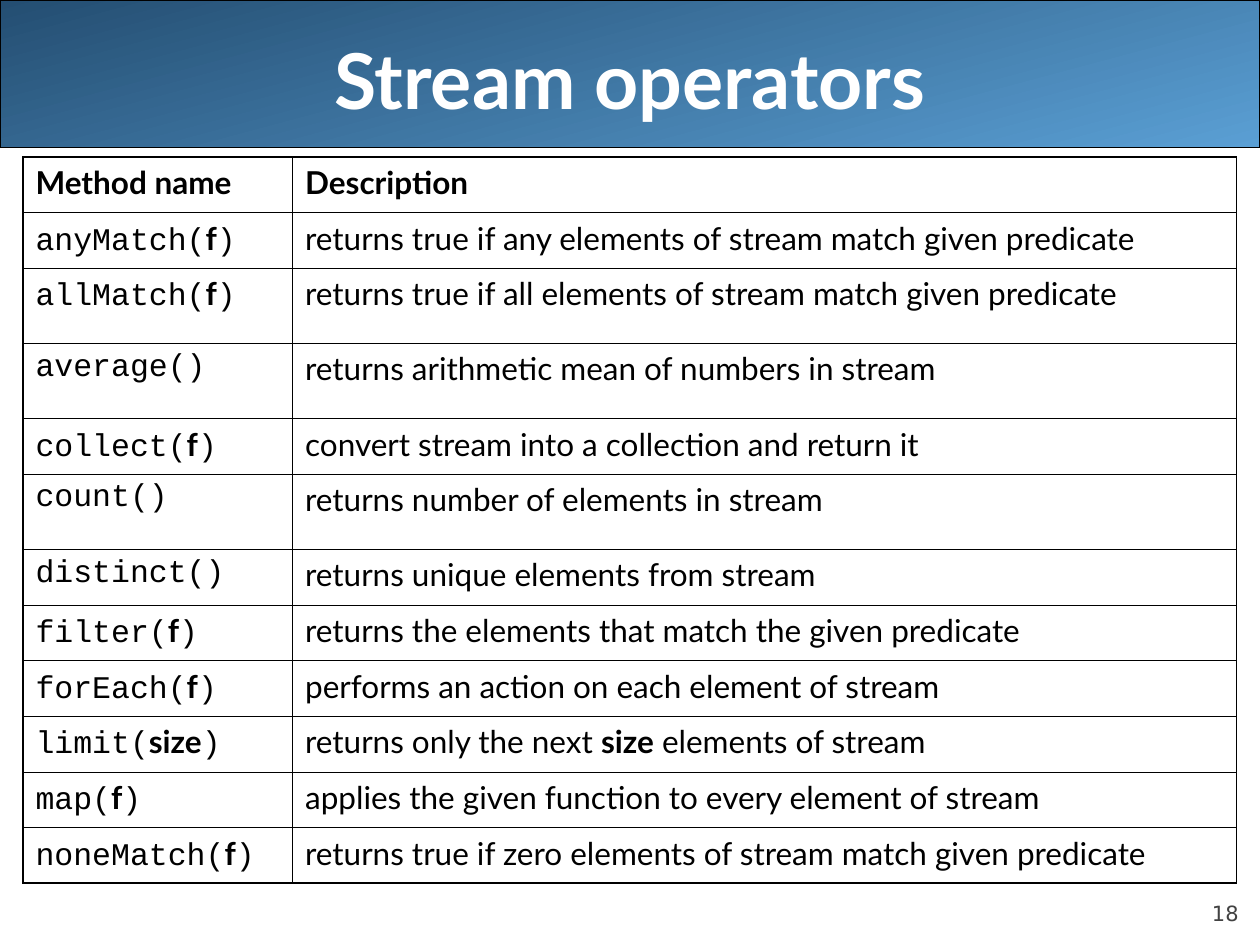
"""Build the slide that lists the stream operators in a table."""
import lxml.etree
import pptx
import pptx.dml.color
import pptx.enum.shapes
import pptx.enum.text
import pptx.oxml.ns
import pptx.util

Pt = pptx.util.Pt
ALIGN = pptx.enum.text.PP_ALIGN
ANCHOR = pptx.enum.text.MSO_ANCHOR
qn = pptx.oxml.ns.qn


def color(value):
    return pptx.dml.color.RGBColor.from_string(value)


def write_text(frame, text, font="Lato", size=18, fill="000000", bold=False,
               align=ALIGN.LEFT, before=4.5):
    paragraph = frame.paragraphs[0]
    paragraph.alignment = align
    paragraph.space_before = Pt(before)
    for index, part in enumerate(text.split("*")):
        emphasized = index % 2 == 1
        run = paragraph.add_run()
        run.text = part
        run.font.name = "Lato" if emphasized else font
        run.font.size = Pt(size)
        run.font.bold = bold or emphasized
        run.font.color.rgb = color(fill)


SHORT, TALL = 31.8, 43
THIN, THICK = 0.45, 1.08
rows = [
    ("Method name", "Description", SHORT),
    ("anyMatch(*f*)", "returns true if any elements of stream match given predicate", SHORT),
    ("allMatch(*f*)", "returns true if all elements of stream match given predicate", TALL),
    ("average()", "returns arithmetic mean of numbers in stream", TALL),
    ("collect(*f*)", "convert stream into a collection and return it", SHORT),
    ("count()", "returns number of elements in stream", TALL),
    ("distinct()", "returns unique elements from stream", SHORT),
    ("filter(*f*)", "returns the elements that match the given predicate", SHORT),
    ("forEach(*f*)", "performs an action on each element of stream", SHORT),
    ("limit(*size*)", "returns only the next *size* elements of stream", SHORT),
    ("map(*f*)", "applies the given function to every element of stream", SHORT),
    ("noneMatch(*f*)", "returns true if zero elements of stream match given predicate", SHORT),
]
column_widths = [154.1, 539.3]

presentation = pptx.Presentation()
presentation.slide_width, presentation.slide_height = Pt(720), Pt(540)
slide = presentation.slides.add_slide(presentation.slide_layouts[6])

banner = slide.shapes.add_shape(pptx.enum.shapes.MSO_SHAPE.ROUNDED_RECTANGLE,
                                Pt(0), Pt(0), Pt(720), Pt(84.2))
banner.adjustments[0] = 0
banner.shadow.inherit = False
banner.fill.gradient()
banner.fill.gradient_angle = 285
for stop, position, shade in zip(banner.fill.gradient_stops, (0, 1), ("244E72", "5A9FD4")):
    stop.position = position
    stop.color.rgb = color(shade)
banner.line.color.rgb = color("000000")
banner.line.width = Pt(0.75)

page_number = slide.shapes.add_textbox(Pt(648), Pt(500.4), Pt(59.8), Pt(28.8)).text_frame
page_number.word_wrap = True
page_number.vertical_anchor = ANCHOR.BOTTOM
page_number.margin_left = page_number.margin_right = 0
page_number.margin_top = page_number.margin_bottom = 0
write_text(page_number, "18", font="DejaVu Sans", size=12, fill="424242",
           align=ALIGN.RIGHT, before=5)

title = slide.shapes.add_textbox(Pt(36), Pt(0), Pt(648), Pt(90)).text_frame
title.word_wrap = True
title.vertical_anchor = ANCHOR.MIDDLE
write_text(title, "Stream operators", size=44, fill="FFFFFF", bold=True,
           align=ALIGN.CENTER, before=0)

table = slide.shapes.add_table(len(rows), 2, Pt(13.1), Pt(89.8), Pt(sum(column_widths)),
                               Pt(sum(row[2] for row in rows))).table
table.first_row = table.horz_banding = False
for column, width in zip(table.columns, column_widths):
    column.width = Pt(width)

for row_index, (method, description, height) in enumerate(rows):
    table.rows[row_index].height = Pt(height)
    header = row_index == 0
    for column_index, text in enumerate((method, description)):
        cell = table.cell(row_index, column_index)
        code = column_index == 0 and not header
        write_text(cell.text_frame, text, font="Courier New" if code else "Lato", bold=header)
        outer_edges = {"L": column_index == 0, "R": column_index == 1,
                       "T": header, "B": row_index == len(rows) - 1}
        properties = cell._tc.get_or_add_tcPr()
        for side, outer in outer_edges.items():
            border = lxml.etree.SubElement(properties, qn("a:ln" + side),
                                           w=str(Pt(THICK if outer else THIN)))
            solid = lxml.etree.SubElement(border, qn("a:solidFill"))
            lxml.etree.SubElement(solid, qn("a:srgbClr"), val="000000")
        cell.fill.background()

presentation.save("out.pptx")
